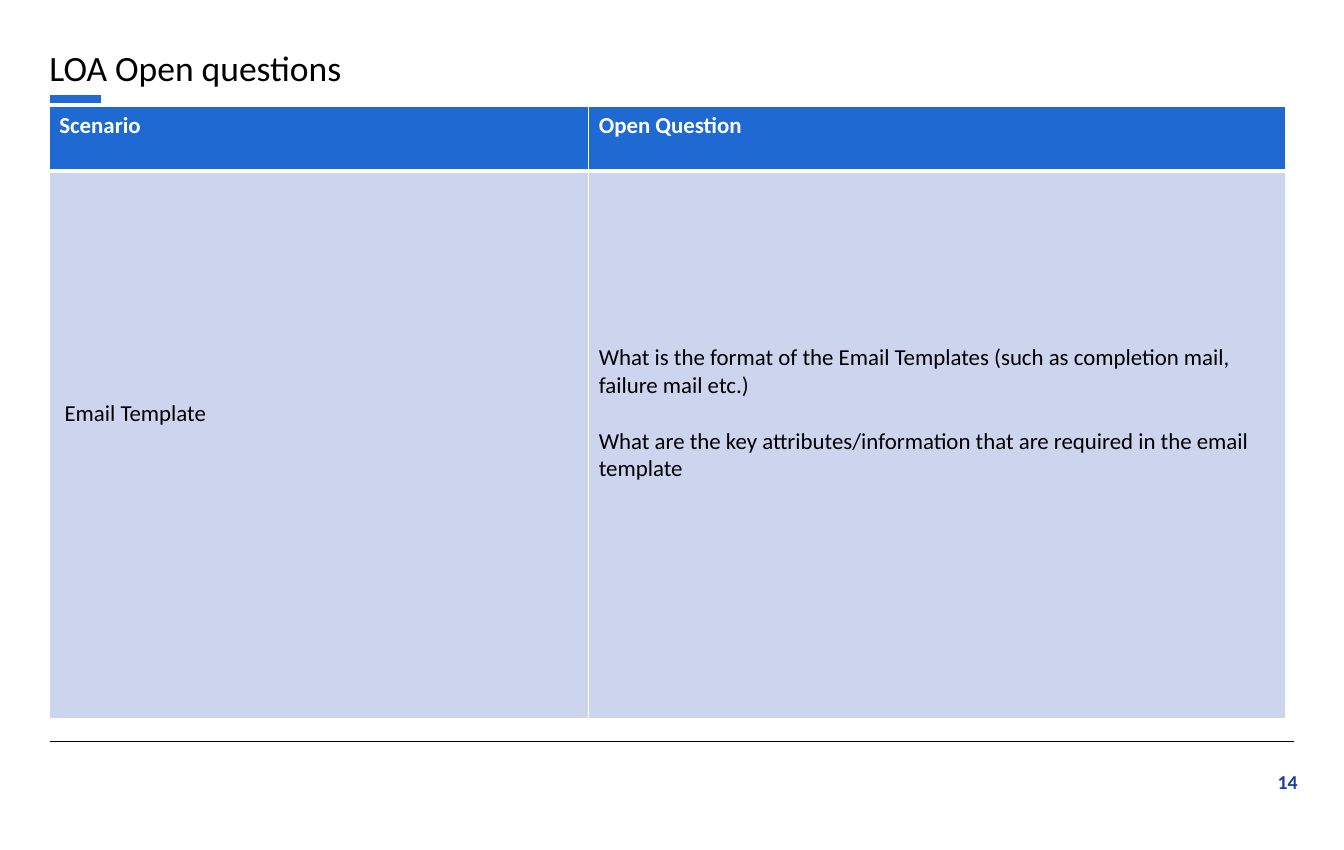
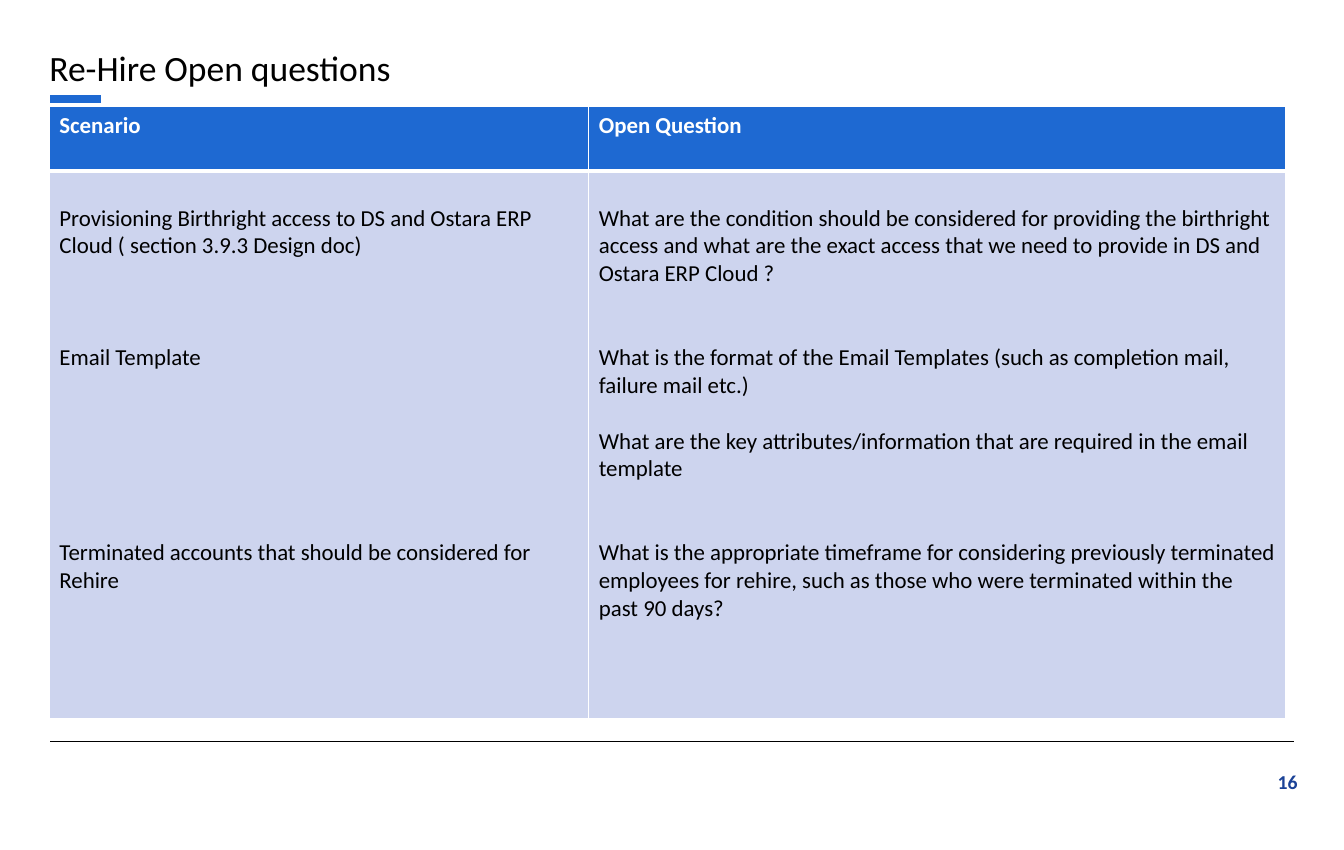
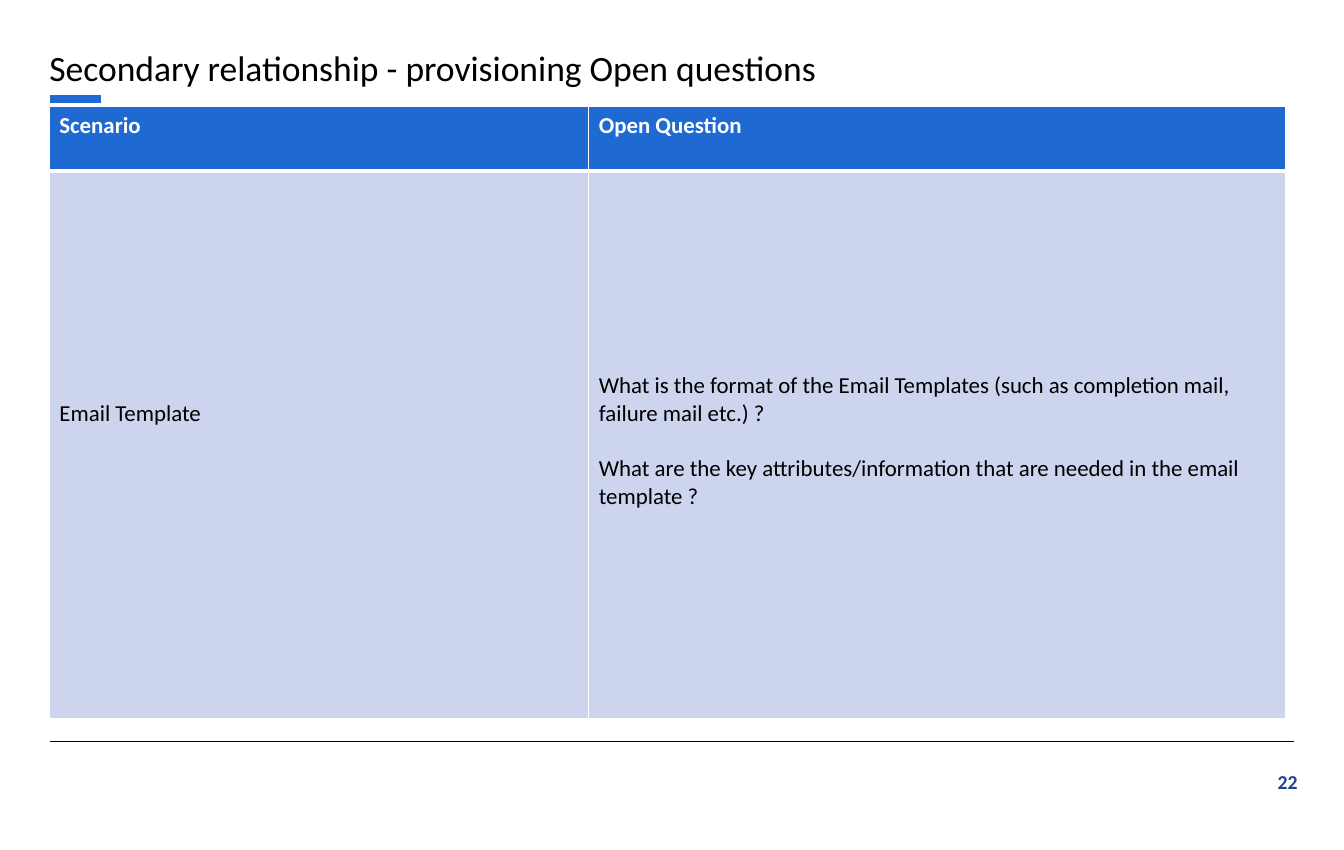
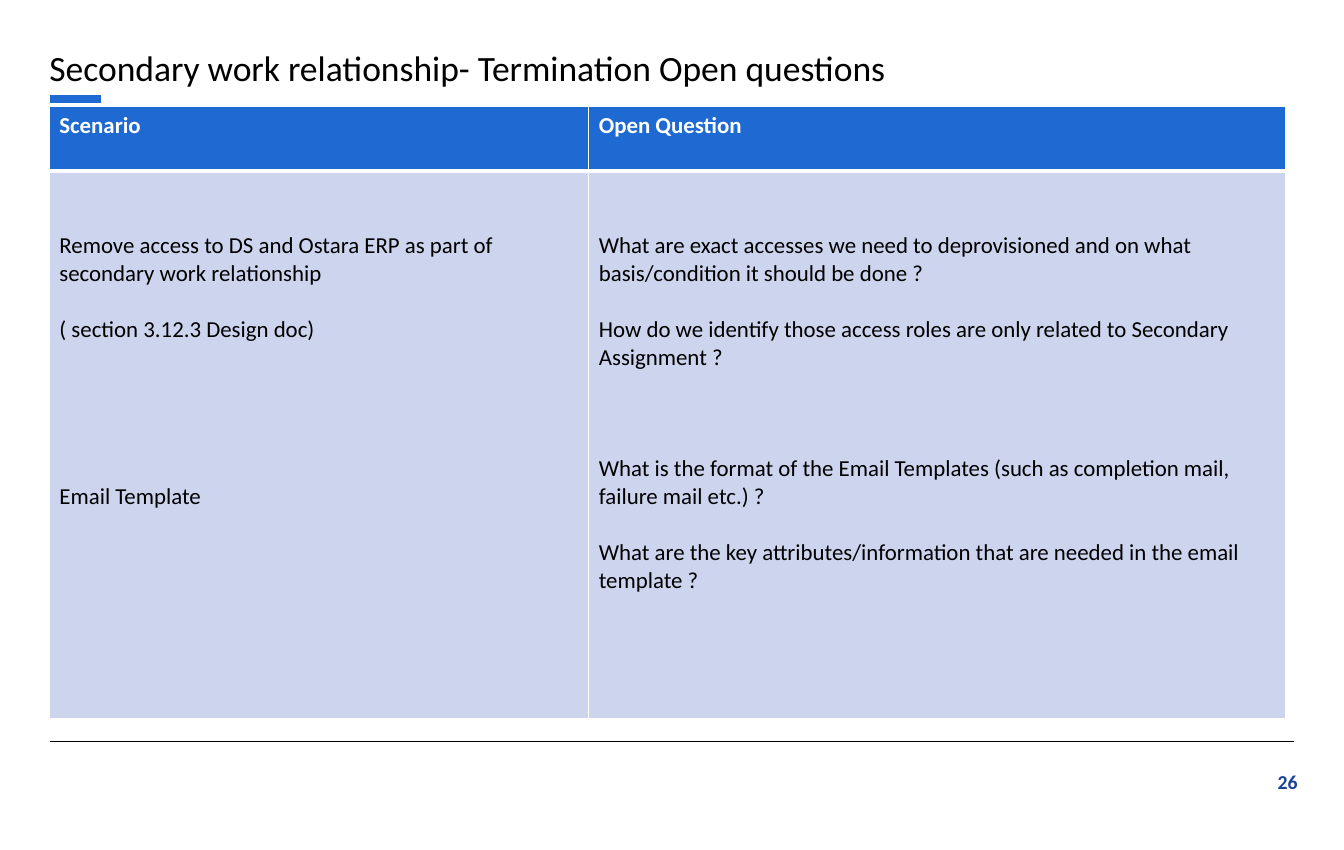
from dataclasses import dataclass

from lxml import etree
from pptx import Presentation
from pptx import util as u
from pptx.dml.color import RGBColor
from pptx.enum import shapes, text
from pptx.oxml import ns

COLORS = {
    "ink": "000000",
    "white": "FFFFFF",
    "accent": "1E69D2",
    "number": "1B4297",
    "body": "CDD4EE",
}
FONT = "Calibri"
CELL_SIZE = 18
LINE_PT = 21.97  # height of one text line in a table cell
MARGIN_X, MARGIN_Y = 0.11, 0.06
COLUMN_WIDTHS = (5.9, 7.62)
ROW_HEIGHTS = (0.71, 5.99)
HEADINGS = ("Scenario", "Open Question")
THIN, THICK = 1, 3


@dataclass(frozen=True)
class Entry:
    """A paragraph and the number of text lines left free above it."""
    gap: int
    wording: str


@dataclass(frozen=True)
class QuestionSlide:
    number: int
    title: str
    scenarios: tuple[Entry, ...]
    questions: tuple[Entry, ...]


@dataclass(frozen=True)
class Rule:
    left: float
    right: float
    y: float
    color: str
    weight: float


RULES = (
    Rule(0.55, 14.15, 8.11, "ink", 0.75),
    Rule(0.55, 1.1, 1.08, "accent", 6),
)


def email_questions(gap: int, verb: str = "required", ending: str = "") -> tuple[Entry, ...]:
    return (
        Entry(gap, "What is the format of the Email Templates "
                   f"(such as completion mail, failure mail etc.){ending}"),
        Entry(1, "What are the key attributes/information that are "
                 f"{verb} in the email template{ending}"),
    )


SLIDES = (
    QuestionSlide(
        14, "LOA Open questions",
        (Entry(8, " Email Template"),),
        email_questions(6),
    ),
    QuestionSlide(
        16, "Re-Hire Open questions",
        (
            Entry(1, "Provisioning Birthright access to DS and Ostara ERP Cloud "
                     "( section 3.9.3 Design doc)"),
            Entry(3, "Email Template"),
            Entry(6, "Terminated accounts that should be considered for Rehire"),
        ),
        (
            Entry(1, "What are the condition should be considered for providing the "
                     "birthright access and what are the exact access that we need to "
                     "provide in DS and Ostara ERP Cloud ?"),
            *email_questions(2),
            Entry(2, "What is the appropriate timeframe for considering previously "
                     "terminated employees for rehire, such as those who were "
                     "terminated within the past 90 days?"),
        ),
    ),
    QuestionSlide(
        22, "Secondary relationship - provisioning Open questions",
        (Entry(8, "Email Template"),),
        email_questions(7, "needed", " ?"),
    ),
    QuestionSlide(
        26, "Secondary work relationship- Termination Open questions",
        (
            Entry(2, "Remove access to DS and Ostara ERP as part of secondary work "
                     "relationship"),
            Entry(1, "( section 3.12.3 Design doc)"),
            Entry(5, "Email Template"),
        ),
        (
            Entry(2, "What are exact accesses we need to deprovisioned and on what "
                     "basis/condition it should be done ?"),
            Entry(1, "How do we identify those access roles are only related to "
                     "Secondary Assignment ?"),
            *email_questions(3, "needed", " ?"),
        ),
    ),
)


def rgb(name: str) -> RGBColor:
    return RGBColor.from_string(COLORS[name])


def add_run(paragraph, wording: str, size: float, color: str, bold: bool = False) -> None:
    run = paragraph.add_run()
    run.text = wording
    run.font.name = FONT
    run.font.size = u.Pt(size)
    run.font.bold = bold
    run.font.color.rgb = rgb(color)


def add_rule(slide, rule: Rule):
    y = u.Inches(rule.y)
    connector = slide.shapes.add_connector(
        shapes.MSO_CONNECTOR.STRAIGHT, u.Inches(rule.left), y, u.Inches(rule.right), y)
    connector.line.color.rgb = rgb(rule.color)
    connector.line.width = u.Pt(rule.weight)
    etree.SubElement(connector.element.spPr, ns.qn("a:effectLst"))
    return connector


def prepare_layout(layout) -> None:
    """Place the title once, for every slide that uses the layout."""
    title = layout.placeholders[0]
    title.left, title.top = u.Inches(0.44), u.Inches(0.51)
    title.width, title.height = u.Inches(9.86), u.Inches(0.77)


def move_rules_to_layout(slide) -> None:
    """Draw the rules and hand them to the layout, so all slides show them."""
    for rule in RULES:
        slide.slide_layout.shapes.element.append(add_rule(slide, rule).element)


def add_title(slide, wording: str) -> None:
    frame = slide.shapes.title.text_frame
    frame.auto_size = text.MSO_AUTO_SIZE.NONE
    frame.vertical_anchor = text.MSO_ANCHOR.TOP
    paragraph = frame.paragraphs[0]
    paragraph.alignment = text.PP_ALIGN.LEFT
    paragraph.line_spacing = 0.9
    add_run(paragraph, wording, 28, "ink")


def add_number(slide, number: int) -> None:
    box = slide.shapes.add_textbox(
        u.Inches(13.48), u.Inches(8.37), u.Inches(0.81), u.Inches(0.36))
    box.text_frame.word_wrap = True
    paragraph = box.text_frame.paragraphs[0]
    paragraph.alignment = text.PP_ALIGN.RIGHT
    add_run(paragraph, str(number), 15.5, "number", bold=True)


def set_borders(cell, top: float, bottom: float) -> None:
    properties = cell._tc.get_or_add_tcPr()
    for side, weight in (("L", THIN), ("R", THIN), ("T", top), ("B", bottom)):
        line = etree.SubElement(properties, ns.qn(f"a:ln{side}"), w=str(u.Pt(weight)))
        fill = etree.SubElement(line, ns.qn("a:solidFill"))
        etree.SubElement(fill, ns.qn("a:srgbClr"), val=COLORS["white"])


def fill_cell(cell, entries: tuple[Entry, ...], is_header: bool) -> None:
    set_borders(cell, *((THIN, THICK) if is_header else (THICK, THIN)))
    cell.fill.solid()
    cell.fill.fore_color.rgb = rgb("accent" if is_header else "body")
    cell.margin_left = cell.margin_right = u.Inches(MARGIN_X)
    cell.margin_bottom = u.Inches(MARGIN_Y)
    cell.margin_top = u.Inches(MARGIN_Y) + u.Pt(entries[0].gap * LINE_PT)
    cell.vertical_anchor = text.MSO_ANCHOR.TOP
    for index, entry in enumerate(entries):
        if index == 0:
            paragraph = cell.text_frame.paragraphs[0]
        else:
            paragraph = cell.text_frame.add_paragraph()
            paragraph.space_before = u.Pt(entry.gap * LINE_PT)
        add_run(paragraph, entry.wording, CELL_SIZE,
                "white" if is_header else "ink", bold=is_header)


def add_question_table(slide, content: QuestionSlide) -> None:
    table = slide.shapes.add_table(
        len(ROW_HEIGHTS), len(COLUMN_WIDTHS), u.Inches(0.54), u.Inches(1.16),
        u.Inches(sum(COLUMN_WIDTHS)), u.Inches(sum(ROW_HEIGHTS))).table
    table.horz_banding = False
    for column, width in zip(table.columns, COLUMN_WIDTHS):
        column.width = u.Inches(width)
    for row, height in zip(table.rows, ROW_HEIGHTS):
        row.height = u.Inches(height)
    for index, entries in enumerate((content.scenarios, content.questions)):
        fill_cell(table.cell(0, index), (Entry(0, HEADINGS[index]),), is_header=True)
        fill_cell(table.cell(1, index), entries, is_header=False)


def main() -> None:
    deck = Presentation()
    deck.slide_width, deck.slide_height = u.Inches(14.7), u.Inches(9.3)
    layout = deck.slide_layouts.get_by_name("Title Only")
    prepare_layout(layout)
    for content in SLIDES:
        slide = deck.slides.add_slide(layout)
        add_title(slide, content.title)
        add_number(slide, content.number)
        add_question_table(slide, content)
    move_rules_to_layout(deck.slides[0])
    deck.save("out.pptx")


if __name__ == "__main__":
    main()
